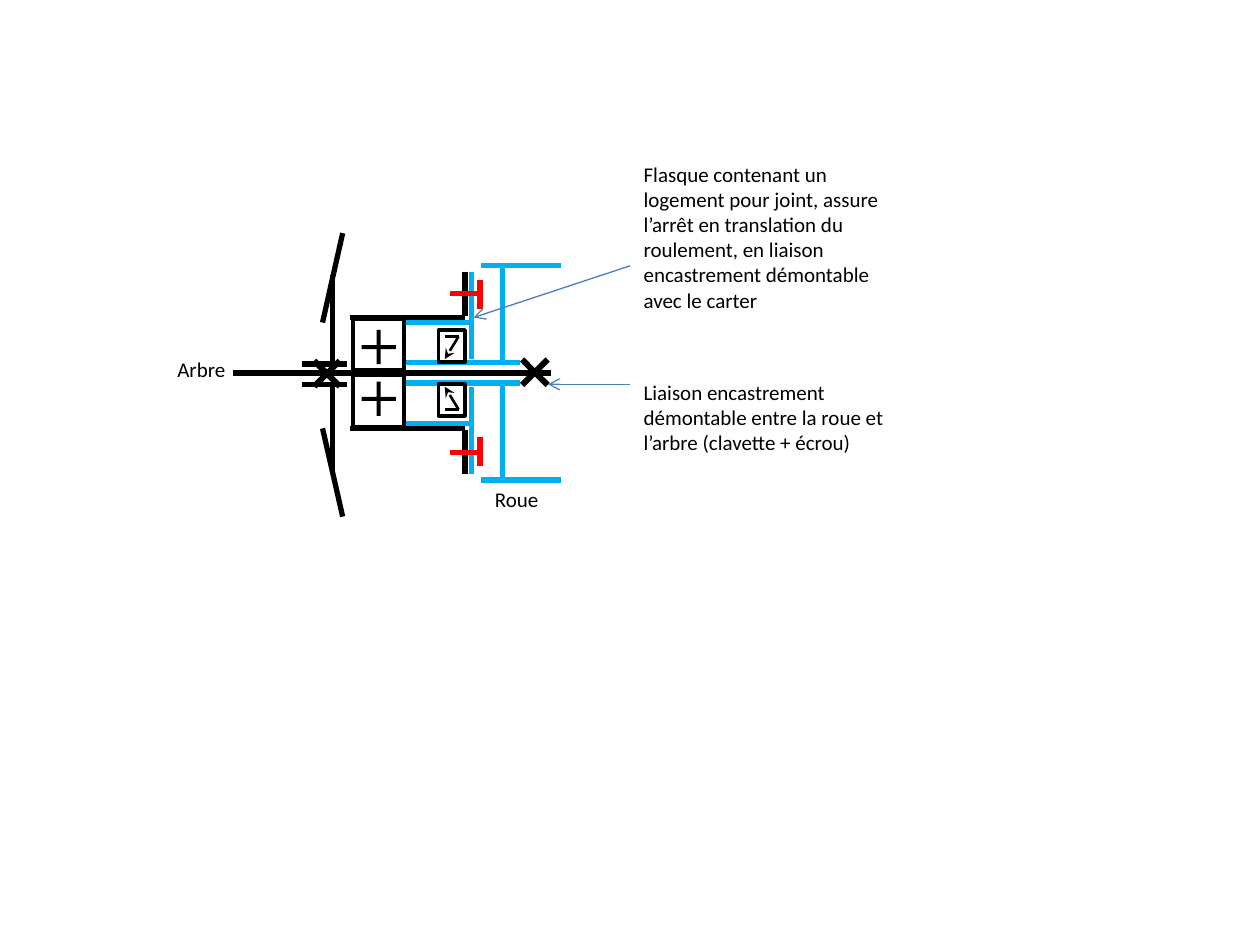
from dataclasses import dataclass

from lxml.etree import SubElement
from pptx import Presentation
from pptx.dml.color import RGBColor
from pptx.enum.shapes import MSO_CONNECTOR as Connector, MSO_SHAPE as Shape
from pptx.enum.text import MSO_AUTO_SIZE as AutoSize
from pptx.oxml.ns import qn
from pptx.util import Emu, Pt

PX = 9144  # 100 px to the inch
AXIS = 296  # height of the shaft centre line


@dataclass(frozen=True)
class Theme:
    font: str = "Calibri"
    text_size: float = 12
    black: str = "000000"
    blue: str = "00B0F0"
    red: str = "FF0000"
    leader: str = "4B7EBC"
    thick: float = 3
    medium: float = 2.25
    thin: float = 1.5
    hairline: float = 0.75


THEME = Theme()


def px(value):
    return Emu(round(value * PX))


def color(code):
    return RGBColor.from_string(code)


def add_line(shapes, start, end, stroke=THEME.black, width=THEME.thick, arrow=None):
    line = shapes.add_connector(Connector.STRAIGHT, *map(px, (*start, *end)))
    line.line.color.rgb = color(stroke)
    line.line.width = Pt(width)
    if arrow:
        SubElement(line.line._get_or_add_ln(), qn("a:tailEnd"), type=arrow)
    SubElement(line._element.spPr, qn("a:effectLst"))
    return line


def add_frame(shapes, left, top, width, height):
    frame = shapes.add_shape(Shape.RECTANGLE, *map(px, (left, top, width, height)))
    frame.shadow.inherit = False
    frame.fill.background()
    frame.line.color.rgb = color(THEME.black)
    frame.line.width = Pt(THEME.medium)
    return frame


def add_cross(shapes, left, top, size, thickness, rotation=0):
    cross = shapes.add_shape(Shape.MATH_MULTIPLY, *map(px, (left, top, size, size)))
    cross.adjustments[0] = thickness
    cross.rotation = rotation
    cross.shadow.inherit = False
    cross.fill.solid()
    cross.fill.fore_color.rgb = color(THEME.black)
    cross.line.fill.background()
    return cross


def add_text(shapes, text, left, top, height, width=213, size=THEME.text_size,
             ink=THEME.black):
    box = shapes.add_textbox(*map(px, (left, top, width, height)))
    frame = box.text_frame
    frame.word_wrap = True
    frame.auto_size = AutoSize.SHAPE_TO_FIT_TEXT
    span = frame.paragraphs[0].add_run()
    span.text = text
    span.font.name = THEME.font
    span.font.size = Pt(size)
    span.font.color.rgb = color(ink)
    return box


def add_shaft_and_fan(shapes):
    add_line(shapes, (185, AXIS), (437, AXIS))
    # Blades, their supports and the hub
    for start, end in (
        ((256, 256), (272, 185)), ((256, 340), (272, 410)),
        ((264, 288), (264, 218)), ((264, 375), (264, 304)),
        ((275, 289), (240, 289)), ((275, 305), (240, 305)),
    ):
        add_line(shapes, start, end)
    # Rigid joints on the shaft
    add_cross(shapes, 240, 277, 39, 0.12)
    add_cross(shapes, 405, 276, 39, 0.12)


def add_half(page, mirrored):
    """Bearing, seal, housing and wheel on one side of the shaft."""
    shapes = page.shapes.add_group_shape().shapes

    def side(y):
        return 2 * AXIS - y if mirrored else y

    def line(x1, y1, x2, y2, **style):
        add_line(shapes, (x1, side(y1)), (x2, side(y2)), **style)

    def top(y, height):
        return side(y + height) if mirrored else y

    # Hub and bearing
    line(413, 288, 321, 288, stroke=THEME.blue)
    add_frame(shapes, 280, top(253, 41), 41, 41)
    add_cross(shapes, 282, top(257, 37), 37, 0.085, rotation=45)
    # Wheel
    line(399, 290, 399, 211, stroke=THEME.blue)
    line(445, 211, 382, 211, stroke=THEME.blue)
    # Seal
    add_frame(shapes, 348, top(262, 25), 21, 25)
    line(353, 267, 364, 267, width=THEME.thin)
    line(364, 267, 353, 285, width=THEME.thin, arrow="stealth")
    # Housing, flange and screw
    line(374, 256, 322, 256, stroke=THEME.blue)
    line(369, 252, 278, 252)
    line(381, 245, 381, 222, stroke=THEME.red)
    line(369, 251, 369, 216)
    line(374, 285, 374, 216, stroke=THEME.blue)
    line(381, 233, 357, 233, stroke=THEME.red)


def add_labels(shapes):
    leader = dict(stroke=THEME.leader, width=THEME.hairline, arrow="arrow")
    add_line(shapes, (500, 305), (435, 305), **leader)
    add_text(shapes, "Liaison encastrement démontable entre la roue et l’arbre "
             "(clavette + écrou)", 501, 296, 71)
    add_text(shapes, "Roue", 383, 381, 30)
    add_text(shapes, "Arbre", 131, 278, 30)
    add_line(shapes, (500, 211), (376, 252), **leader)
    add_text(shapes, "Flasque contenant un logement pour joint, assure l’arrêt en "
             "translation du roulement, en liaison encastrement démontable avec "
             "le carter", 501, 123, 131)


def main():
    deck = Presentation()
    deck.slide_width, deck.slide_height = px(1000), px(750)
    page = deck.slides.add_slide(deck.slide_layouts[6])
    add_shaft_and_fan(page.shapes)
    for mirrored in (False, True):
        add_half(page, mirrored)
    add_labels(page.shapes)
    deck.save("out.pptx")


if __name__ == "__main__":
    main()
